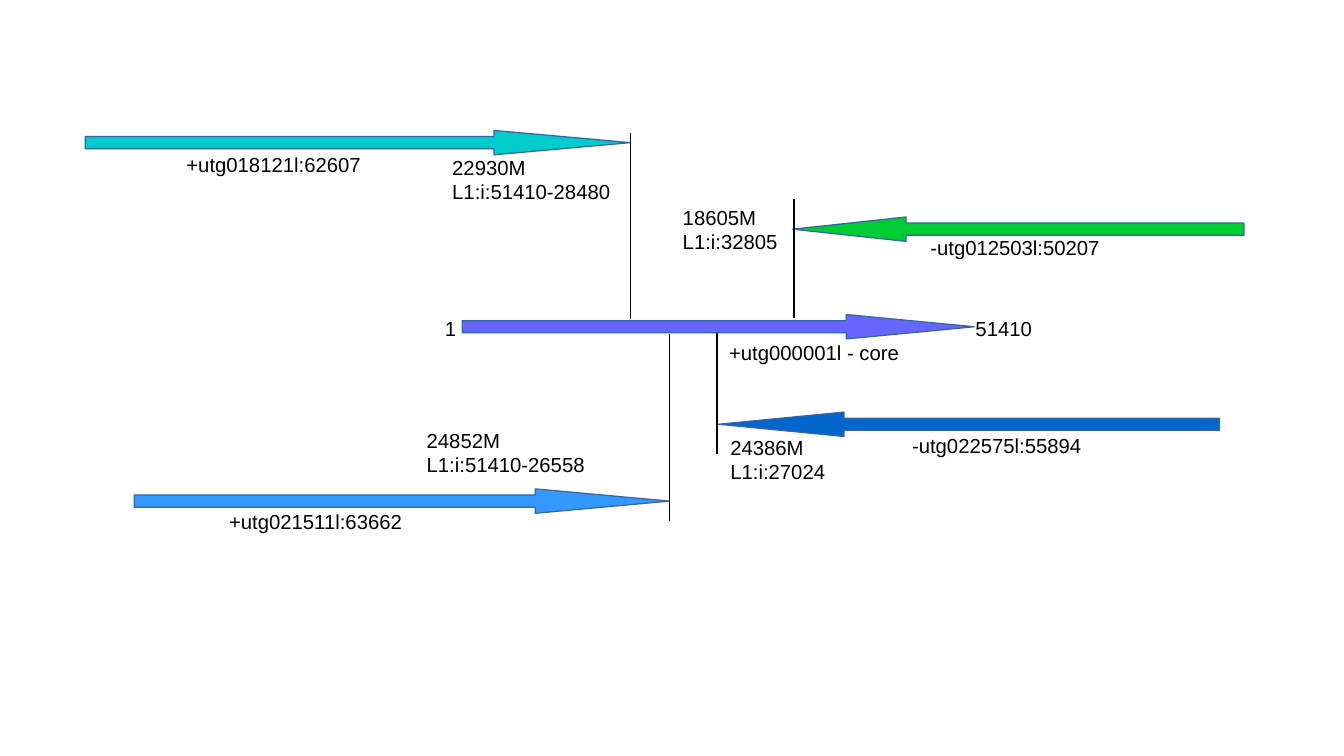
"""Draw a map of four contigs aligned to a core contig."""
from lxml.etree import SubElement
from pptx import Presentation
from pptx.dml.color import RGBColor as Color
from pptx.enum.shapes import MSO_CONNECTOR as Connector
from pptx.oxml.ns import qn
from pptx.util import Inches, Pt

THEME = {
    "font": "Arial", "size": Pt(12), "line": Pt(0.75),
    "ink": "000000", "outline": "3465A4", "core": "6666FF",
    "blue": "0066CC", "green": "00CC33", "sky": "3399FF", "teal": "00CCCC",
}
CELL = Inches(0.1)
COLUMNS, ROWS = 110.2, 62
SHAFT, HEAD = 0.5, 1

deck = Presentation()
deck.slide_width, deck.slide_height = int(COLUMNS * CELL), ROWS * CELL
page = deck.slides.add_slide(deck.slide_layouts[6])


def grid(*cells):
    return [round(cell * CELL) for cell in cells]


def add_text(text, column, row, width, height=2.9, color=THEME["ink"], size=THEME["size"]):
    box = page.shapes.add_textbox(*grid(column, row, width, height))
    frame = box.text_frame
    frame.word_wrap = True
    frame.text = text
    for para in frame.paragraphs:
        for span in para.runs:
            span.font.name = THEME["font"]
            span.font.size = size
            span.font.color.rgb = Color.from_string(color)


contigs = [
    ("core", 37.9, 69.4, 79.9, 26.8),
    ("blue", 100, 69.2, 58.9, 34.8),
    ("green", 102, 74.3, 65, 18.8),
    ("sky", 11, 43.9, 54.9, 41.1),
    ("teal", 7, 40.5, 51.7, 11.7),
]
for color, tail, neck, tip, middle in contigs:
    outline = [
        (tail, middle + SHAFT), (neck, middle + SHAFT), (neck, middle + HEAD),
        (tip, middle),
        (neck, middle - HEAD), (neck, middle - SHAFT), (tail, middle - SHAFT),
    ]
    points = [grid(*point) for point in outline]
    builder = page.shapes.build_freeform(*points[0], scale=1.0)
    builder.add_line_segments(points[1:], close=True)
    arrow = builder.convert_to_shape()
    arrow.shadow.inherit = False
    arrow.fill.solid()
    arrow.fill.fore_color.rgb = Color.from_string(THEME[color])
    arrow.line.color.rgb = Color.from_string(THEME["outline"])
    arrow.line.width = THEME["line"]

markers = [(58.8, 37.2, 27.3), (65.1, 26.1, 16.3), (54.9, 42.7, 27.4), (51.7, 26.2, 10.9)]
for column, bottom, top in markers:
    marker = page.shapes.add_connector(Connector.STRAIGHT, *grid(column, bottom, column, top))
    marker.line.color.rgb = Color.from_string(THEME["ink"])
    marker.line.width = THEME["line"]
    SubElement(marker._element.spPr, qn("a:effectLst"))

names = [
    ("+utg000001l - core", 58.8, 27.4),
    ("-utg022575l:55894", 73.8, 35),
    ("-utg012503l:50207", 75.3, 18.8),
    ("+utg021511l:63662", 17.8, 41.3),
    ("+utg018121l:62607", 14.3, 12),
]
for name, column, row in names:
    add_text(name, column, row, width=18.2)

for position, column in [("1", 35.5), ("51410", 79)]:
    add_text(position, column, 25.4, width=6.9)

overlaps = [
    ("24386M\nL1:i:27024", 58.9, 35.2, 13.4),
    ("18605M\nL1:i:32805", 55, 16.3, 10.7),
    ("24852M\nL1:i:51410-26558", 34, 34.6, 21.5),
    ("22930M\nL1:i:51410-28480", 36.1, 12.2, 16.3),
]
for overlap, column, row, width in overlaps:
    add_text(overlap, column, row, width, height=4.7)

deck.save("out.pptx")
